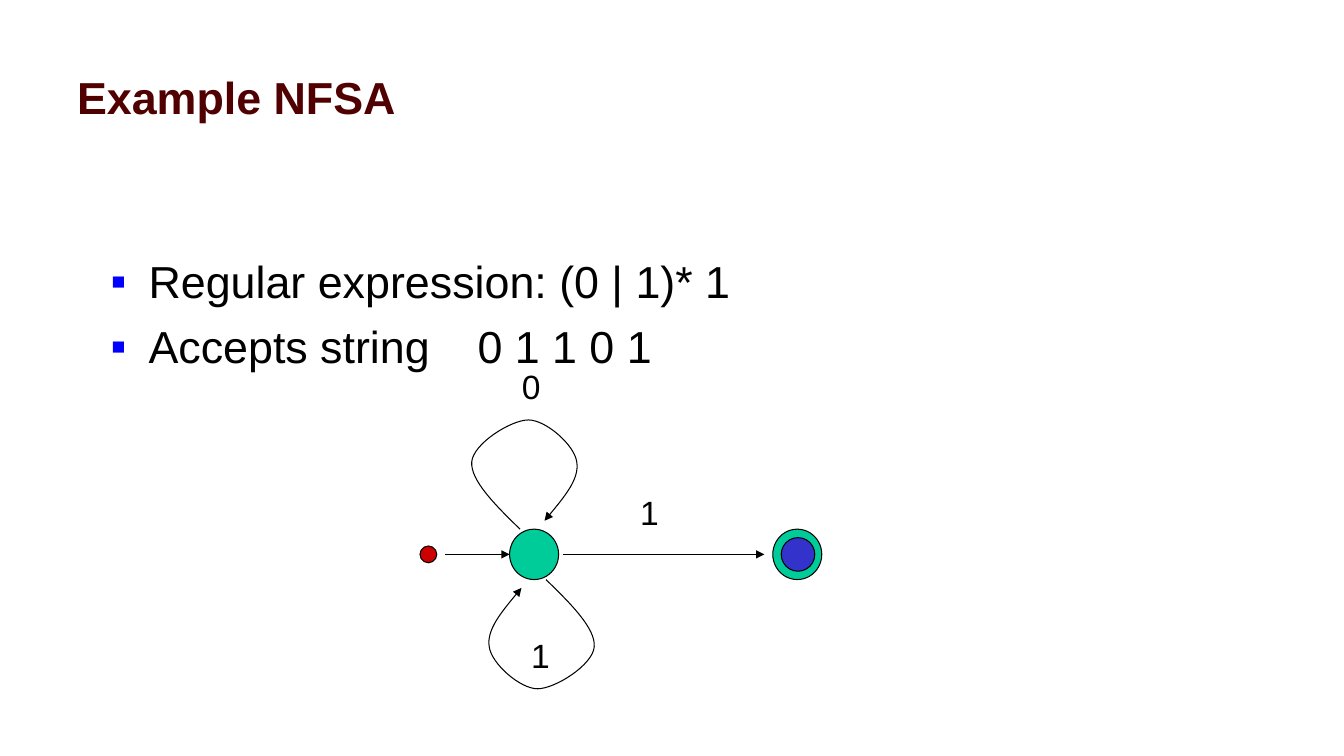
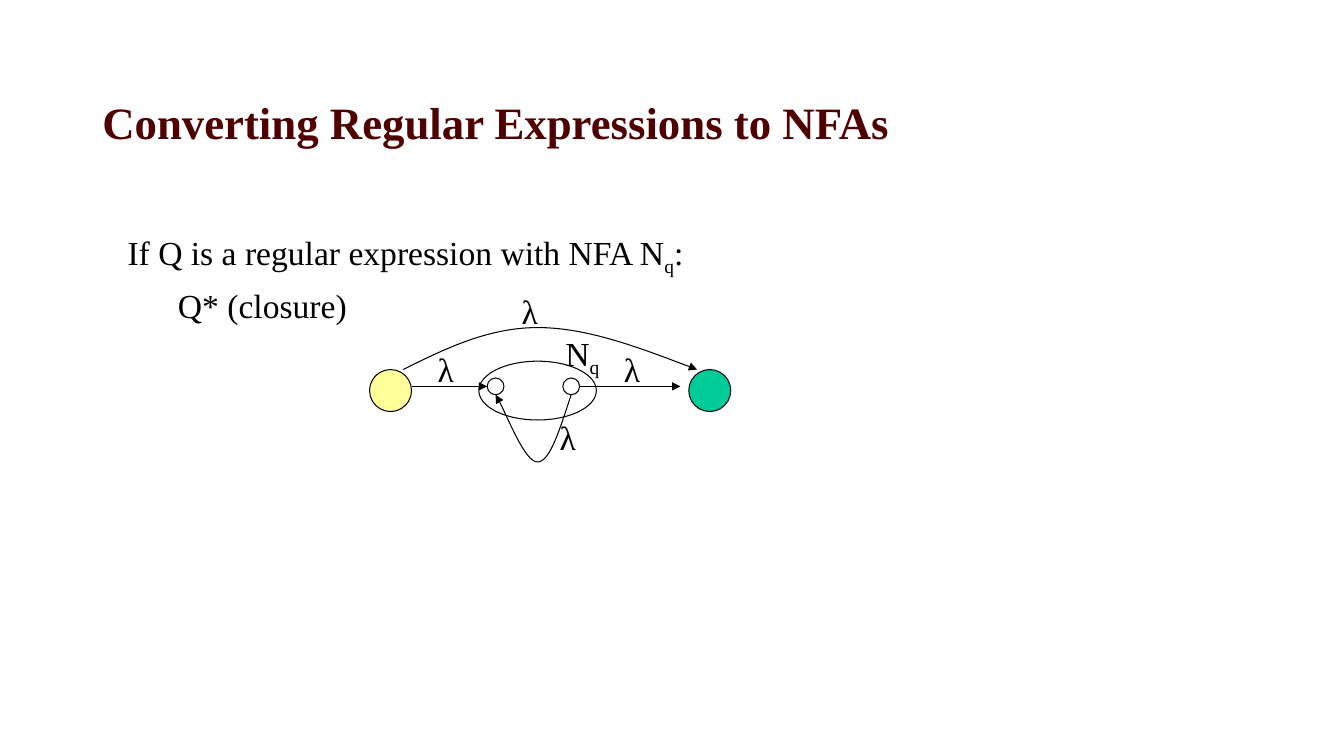
from dataclasses import dataclass
from typing import NamedTuple

from lxml import etree
from pptx import Presentation
from pptx.dml.color import RGBColor
from pptx.enum import shapes, text
from pptx.oxml import ns
from pptx.util import Pt

BLACK = RGBColor(0x00, 0x00, 0x00)
MAROON = RGBColor(0x50, 0x00, 0x00)
GREEN = RGBColor(0x00, 0xCC, 0x99)
BLUE = RGBColor(0x33, 0x33, 0xCC)
RED = RGBColor(0xCC, 0x00, 0x00)
YELLOW = RGBColor(0xFF, 0xFF, 0x99)
BULLET = "0000FF"
SANS = "Arial"
SERIF = "Times New Roman"
TITLE_SIZE = 32
LABEL_SIZE = 24
LINE = 0.75


class Point(NamedTuple):
    x: float
    y: float


class Box(NamedTuple):
    left: float
    top: float
    width: float
    height: float


class Run(NamedTuple):
    text: str
    sub: bool = False


@dataclass
class Para:
    runs: list[Run]
    left: float = 0
    hang: float = 0
    space: float = 0
    level: int = 0
    bullet: str = ""
    tab: float = 0


@dataclass
class Style:
    font: str
    size: float
    color: RGBColor = BLACK
    bold: bool = False


@dataclass
class Node:
    box: Box
    fill: RGBColor | None = None


@dataclass
class Label:
    runs: list[Run]
    mid: float
    top: float
    width: float = 28


def add_sub(parent, tag: str, **attrs: str):
    return etree.SubElement(parent, ns.qn(tag), attrs)


def set_marks(para, data: Para) -> None:
    """Set the indent, bullet and tab stop of a paragraph."""
    props = para._p.get_or_add_pPr()
    props.set("marL", str(Pt(data.left)))
    props.set("indent", str(Pt(-data.hang)))
    if data.bullet:
        color = add_sub(props, "a:buClr")
        add_sub(color, "a:srgbClr", val=BULLET)
        add_sub(props, "a:buFont", typeface=SANS)
        add_sub(props, "a:buChar", char=data.bullet)
    else:
        add_sub(props, "a:buNone")
    if data.tab:
        tabs = add_sub(props, "a:tabLst")
        add_sub(tabs, "a:tab", pos=str(Pt(data.tab)), algn="l")


def add_text(slide, box: Box, paras: list[Para], style: Style,
             anchor=text.MSO_ANCHOR.TOP, align=text.PP_ALIGN.LEFT,
             side: float = 7.2) -> None:
    frame = slide.shapes.add_textbox(*map(Pt, box)).text_frame
    frame.word_wrap = True
    frame.vertical_anchor = anchor
    frame.margin_left = frame.margin_right = Pt(side)
    for i, data in enumerate(paras):
        para = frame.add_paragraph() if i else frame.paragraphs[0]
        set_marks(para, data)
        para.alignment = align
        para.level = data.level
        para.space_before = Pt(data.space)
        for part in data.runs:
            run = para.add_run()
            run.text = part.text
            font = run.font
            font.name, font.size = style.font, Pt(style.size)
            font.bold = style.bold
            font.color.rgb = style.color
            if part.sub:
                font._element.set("baseline", "-25000")


def add_title(slide, box: Box, title: str, font: str) -> None:
    add_text(slide, box, [Para([Run(title)])],
             Style(font, TITLE_SIZE, MAROON, True), text.MSO_ANCHOR.MIDDLE)


def add_labels(slide, labels: list[Label], font: str) -> None:
    """Draw short texts, each centred on its middle."""
    for item in labels:
        box = Box(item.mid - item.width / 2, item.top, item.width, 36)
        add_text(slide, box, [Para(item.runs)], Style(font, LABEL_SIZE),
                 align=text.PP_ALIGN.CENTER, side=0)


def set_line(shape, arrow: bool = False) -> None:
    shape.line.color.rgb = BLACK
    shape.line.width = Pt(LINE)
    if arrow:
        line = shape._element.find(".//" + ns.qn("a:ln"))
        add_sub(line, "a:tailEnd", type="triangle")


def add_nodes(slide, nodes: list[Node]) -> None:
    for node in nodes:
        oval = slide.shapes.add_shape(shapes.MSO_SHAPE.OVAL, *map(Pt, node.box))
        oval.shadow.inherit = False
        if node.fill is None:
            oval.fill.background()
        else:
            oval.fill.solid()
            oval.fill.fore_color.rgb = node.fill
        set_line(oval)


def add_arrow(slide, start: float, end: float, y: float) -> None:
    line = slide.shapes.add_connector(shapes.MSO_CONNECTOR.STRAIGHT,
                                      Pt(start), Pt(y), Pt(end), Pt(y))
    set_line(line, arrow=True)
    add_sub(line._element.spPr, "a:effectLst")


def add_curve(slide, points: list[Point]) -> None:
    """Draw a start point and triples of Bezier points as an arrow."""
    first, *rest = [(Pt(p.x), Pt(p.y)) for p in points]
    pen = slide.shapes.build_freeform(*first)
    pen.add_line_segments(rest, close=False)
    curve = pen.convert_to_shape()
    route = curve._element.find(".//" + ns.qn("a:path"))
    steps = route.findall(ns.qn("a:lnTo"))
    for i in range(0, len(steps), 3):
        bend = add_sub(route, "a:cubicBezTo")
        for step in steps[i:i + 3]:
            bend.append(step[0])
            route.remove(step)
    curve.shadow.inherit = False
    curve.fill.background()
    set_line(curve, arrow=True)


def turn(points: list[Point], hub: Point) -> list[Point]:
    """Turn points by half a circle about the hub."""
    return [Point(2 * hub.x - p.x, 2 * hub.y - p.y) for p in points]


def draw_sample(slide) -> None:
    add_title(slide, Box(48, 24, 864, 90), "Example NFSA", SANS)
    add_text(slide, Box(72, 178, 840, 320), [
        Para([Run("Regular expression: (0 | 1)* 1")], 27, 27, bullet="▪"),
        Para([Run("Accepts string\t0 1 1 0 1")], 27, 27, 7.7, bullet="▪",
             tab=262),
    ], Style(SANS, 32))

    axis = 396
    loop = [Point(371.5, 378),
            Point(353.5, 360.5), Point(336, 343), Point(337, 330),
            Point(338, 317), Point(365, 300), Point(377.5, 300),
            Point(390, 300), Point(410.5, 318), Point(412, 330),
            Point(414, 342), Point(401.5, 357), Point(389, 372)]
    add_nodes(slide, [
        Node(Box(364, axis - 18, 35, 36), GREEN),
        Node(Box(552, axis - 18, 35, 36), GREEN),
        Node(Box(558, axis - 12, 24, 24), BLUE),
        Node(Box(300, axis - 6, 12, 12), RED),
    ])
    add_arrow(slide, 318, 364, axis)
    add_arrow(slide, 402, 546, axis)
    add_curve(slide, loop)
    add_curve(slide, turn(loop, Point(380.75, axis)))
    add_labels(slide, [
        Label([Run("0")], 379.5, 258),
        Label([Run("1")], 386, 450),
        Label([Run("1")], 464, 348),
    ], SANS)


def draw_star(slide) -> None:
    """Draw the NFA of the closure."""
    add_title(slide, Box(66, 48, 822, 78),
              "Converting Regular Expressions to NFAs", SERIF)
    add_text(slide, Box(84, 162, 702, 324), [
        Para([Run("If Q is a regular expression with NFA N"),
              Run("q", True), Run(":")], 48, 48),
        Para([Run("Q* (closure)")], 78, 42, 5.5, level=1),
    ], Style(SERIF, 24))

    axis = 276
    add_nodes(slide, [
        Node(Box(342, 258, 84, 42)),
        Node(Box(402, axis - 6, 12, 12)),
        Node(Box(348, axis - 6, 12, 12)),
        Node(Box(264, 264, 30, 30), YELLOW),
        Node(Box(492, 264, 30, 30), GREEN),
    ])
    add_labels(slide, [
        Label([Run("N"), Run("q", True)], 416, 234, 40),
        Label([Run("λ")], 318.5, 246),
        Label([Run("λ")], 451.5, 246),
        Label([Run("λ")], 405.5, 294),
        Label([Run("λ")], 378.5, 204),
    ], SERIF)
    add_arrow(slide, 414, 486, axis)
    add_arrow(slide, 294, 348, axis)
    add_curve(slide, [Point(288, 264),
                      Point(318, 249), Point(349, 234), Point(384, 234),
                      Point(419, 234), Point(458.5, 249), Point(498, 264)])
    add_curve(slide, [Point(408, 282),
                      Point(400, 306), Point(393, 330), Point(384, 330),
                      Point(375, 330), Point(359.5, 290), Point(354, 282)])


def main() -> None:
    deck = Presentation()
    deck.slide_width, deck.slide_height = Pt(960), Pt(540)
    for draw in (draw_sample, draw_star):
        draw(deck.slides.add_slide(deck.slide_layouts[6]))
    deck.save("out.pptx")


if __name__ == "__main__":
    main()
